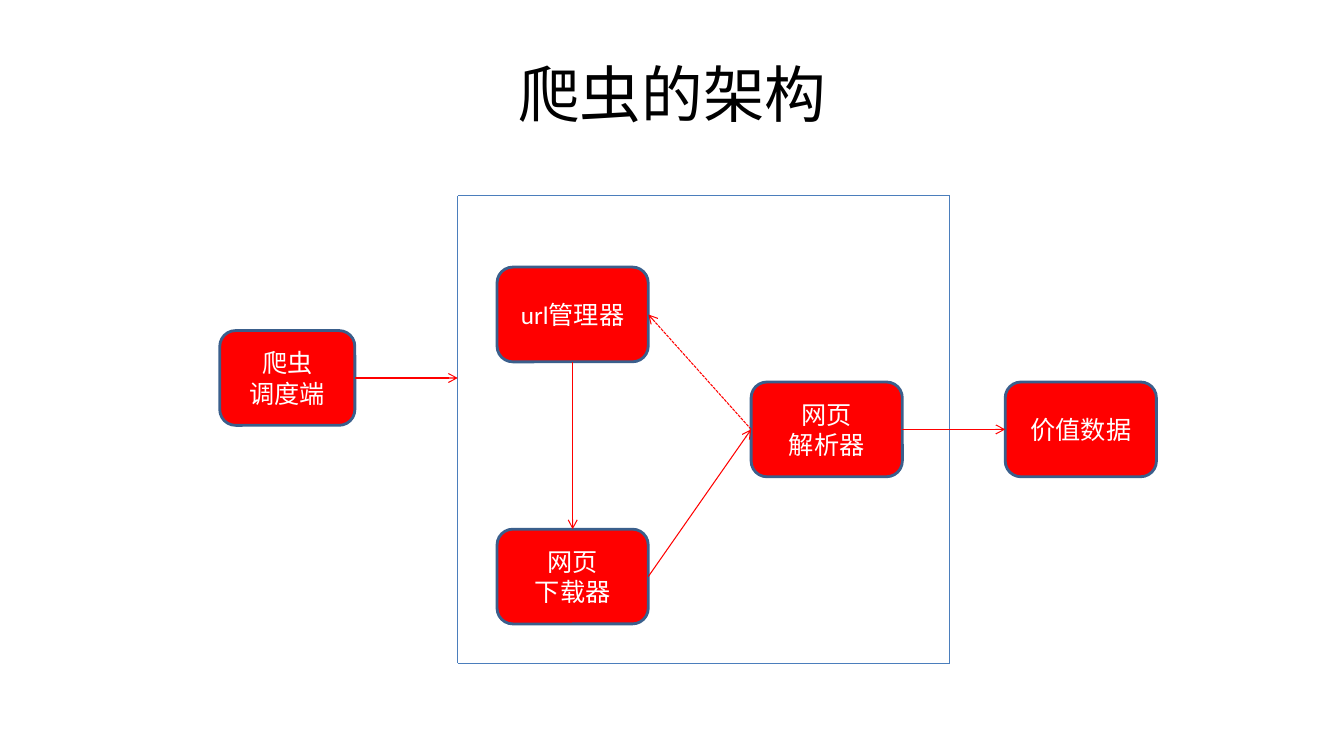
"""Build the slide that shows the architecture of a web crawler."""
from dataclasses import dataclass
from itertools import pairwise

from pptx import Presentation
from pptx.dml.color import RGBColor
from pptx.enum.dml import MSO_LINE as Dash
from pptx.enum.shapes import MSO_CONNECTOR as Link, MSO_SHAPE as Preset
from pptx.enum.text import MSO_ANCHOR as Anchor, PP_ALIGN as Align
from pptx.oxml.ns import qn
from pptx.shapes.autoshape import Shape
from pptx.shapes.connector import Connector
from pptx.slide import Slide
from pptx.text.text import TextFrame
from pptx.util import Inches, Pt
from lxml.etree import SubElement

FONT = "Calibri"
RED, WHITE, BLACK = "FF0000", "FFFFFF", "000000"
BORDER, FRAME = "3A5F8C", "4B7EBC"
TOP, LEFT, BOTTOM, RIGHT = range(4)
STEP_HEIGHT = 0.94


@dataclass(frozen=True)
class Step:
    """A labelled stage of the crawler, measured in inches."""
    label: str
    left: float
    top: float
    width: float = 1.5


@dataclass(frozen=True)
class Flow:
    """An arrow between sides of two stages."""
    source: str
    source_side: int
    target: str
    target_side: int
    dashed: bool = False


STEPS = {
    "scheduler": Step("爬虫\n调度端", 2.18, 3.28, 1.34),
    "manager": Step("url管理器", 4.93, 2.65),
    "parser": Step("网页\n解析器", 7.45, 3.79),
    "downloader": Step("网页\n下载器", 4.93, 5.25),
    "data": Step("价值数据", 9.97, 3.79),
}
FLOWS = [
    Flow("manager", BOTTOM, "downloader", TOP),
    Flow("downloader", RIGHT, "parser", LEFT),
    Flow("parser", LEFT, "manager", RIGHT, dashed=True),
    Flow("parser", RIGHT, "data", LEFT),
]
FRAME_CORNERS = [(4.54, 1.94), (9.42, 1.94), (9.42, 6.58), (4.54, 6.58), (4.54, 1.94)]


def rgb(value: str) -> RGBColor:
    """Turn a hex string into a colour."""
    return RGBColor.from_string(value)


def format_text(frame: TextFrame, size: float, color: str) -> None:
    """Centre the text and set its font."""
    frame.word_wrap = True
    frame.vertical_anchor = Anchor.MIDDLE
    for paragraph in frame.paragraphs:
        paragraph.alignment = Align.CENTER
        for run in paragraph.runs:
            run.font.name = FONT
            run.font.size = Pt(size)
            run.font.color.rgb = rgb(color)


def add_title(slide: Slide, text: str) -> None:
    """Fill and place the title placeholder."""
    title = slide.shapes.title
    title.left, title.top = Inches(0.67), Inches(0.3)
    title.width, title.height = Inches(12), Inches(1.25)
    title.text_frame.text = text
    format_text(title.text_frame, 44, BLACK)


def add_step(slide: Slide, step: Step) -> Shape:
    """Draw one stage as a rounded box."""
    box = slide.shapes.add_shape(
        Preset.ROUNDED_RECTANGLE, Inches(step.left), Inches(step.top),
        Inches(step.width), Inches(STEP_HEIGHT))
    box.shadow.inherit = False
    box.fill.solid()
    box.fill.fore_color.rgb = rgb(RED)
    box.line.color.rgb = rgb(BORDER)
    box.line.width = Pt(2)
    box.text_frame.text = step.label
    format_text(box.text_frame, 18, WHITE)
    return box


def add_line(slide: Slide, start: tuple[float, float], end: tuple[float, float],
             color: str) -> Connector:
    """Draw a thin straight line between two points in inches."""
    line = slide.shapes.add_connector(Link.STRAIGHT, *map(Inches, start + end))
    line.line.color.rgb = rgb(color)
    line.line.width = Pt(0.75)
    SubElement(line._element.spPr, qn("a:effectLst"))
    return line


def add_arrow(slide: Slide, start: tuple[float, float], end: tuple[float, float],
              dashed: bool = False) -> Connector:
    """Draw a red line with an open arrowhead at its end."""
    arrow = add_line(slide, start, end, RED)
    if dashed:
        arrow.line.dash_style = Dash.SQUARE_DOT
    SubElement(arrow.line._get_or_add_ln(), qn("a:tailEnd"), type="arrow")
    return arrow


def add_flow(slide: Slide, flow: Flow, boxes: dict[str, Shape]) -> None:
    """Connect two stages with an arrow."""
    arrow = add_arrow(slide, (0, 0), (1, 1), flow.dashed)
    arrow.begin_connect(boxes[flow.source], flow.source_side)
    arrow.end_connect(boxes[flow.target], flow.target_side)


def main() -> None:
    """Build and save the presentation."""
    deck = Presentation()
    deck.slide_width, deck.slide_height = Inches(13.33), Inches(7.5)
    slide = deck.slides.add_slide(deck.slide_layouts[5])
    add_title(slide, "爬虫的架构")
    for start, end in pairwise(FRAME_CORNERS):
        add_line(slide, start, end, FRAME)
    boxes = {name: add_step(slide, step) for name, step in STEPS.items()}
    for flow in FLOWS:
        add_flow(slide, flow, boxes)
    scheduler = STEPS["scheduler"]
    middle = scheduler.top + STEP_HEIGHT / 2
    entry = add_arrow(slide, (scheduler.left + scheduler.width, middle),
                      (FRAME_CORNERS[0][0], middle))
    entry.begin_connect(boxes["scheduler"], RIGHT)
    deck.save("out.pptx")


main()
